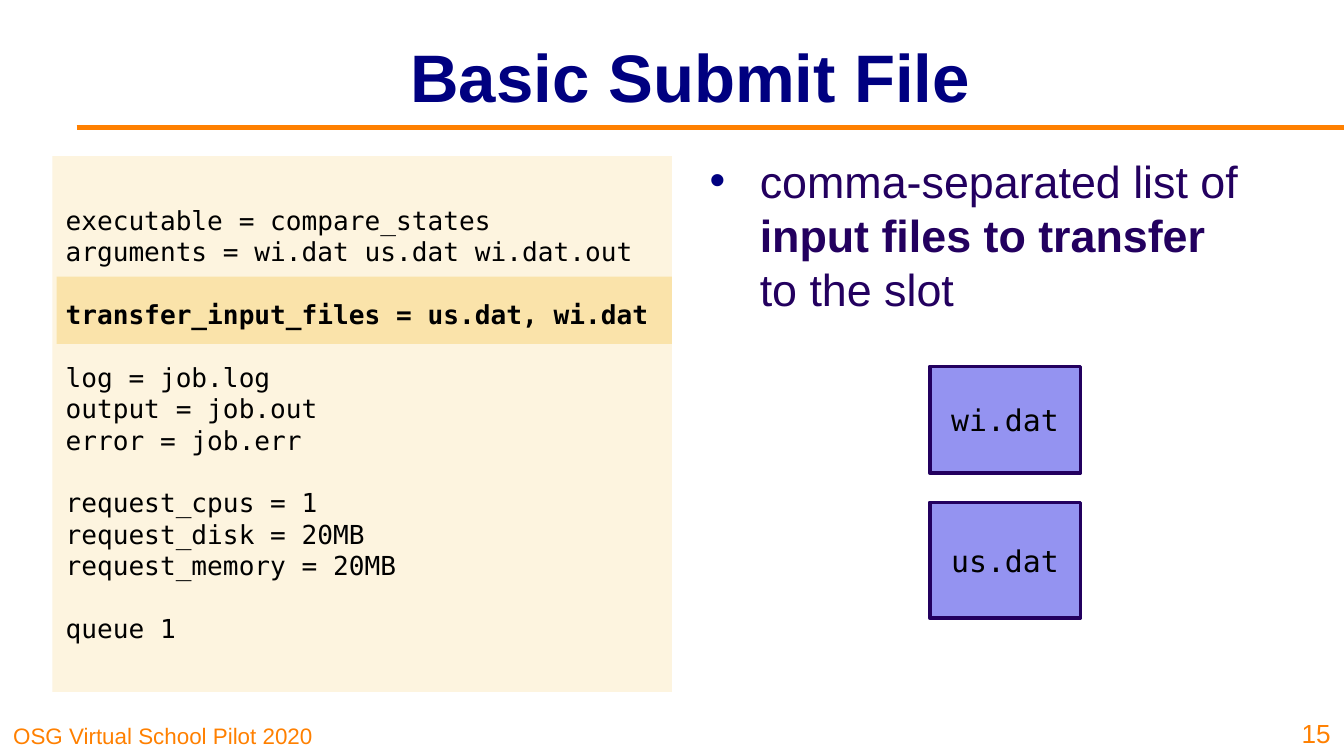
from dataclasses import dataclass

from lxml import etree
from pptx import Presentation
from pptx.dml.color import RGBColor
from pptx.enum import shapes, text
from pptx.oxml import ns
from pptx.util import Cm, Pt

ORANGE = RGBColor(0xFF, 0x80, 0x00)
NAVY = RGBColor(0x00, 0x00, 0x80)
PURPLE = RGBColor(0x23, 0x00, 0x5F)
LILAC = RGBColor(0x94, 0x93, 0xF1)
CREAM = RGBColor(0xFD, 0xF4, 0xDF)
GOLD = RGBColor(0xFA, 0xE3, 0xAA)
BLACK = RGBColor(0x00, 0x00, 0x00)
SANS, MONO = "Arial", "DejaVu Sans Mono"
LEFT, CENTER, RIGHT = text.PP_ALIGN.LEFT, text.PP_ALIGN.CENTER, text.PP_ALIGN.RIGHT
TOP, MIDDLE, BOTTOM = (text.MSO_ANCHOR.TOP, text.MSO_ANCHOR.MIDDLE,
                       text.MSO_ANCHOR.BOTTOM)


@dataclass
class Box:
    """Place and size in centimetres."""
    left: float
    top: float
    width: float
    height: float

    def lengths(self):
        return [Cm(v) for v in (self.left, self.top, self.width, self.height)]


@dataclass
class File:
    name: str
    box: Box


CODE_BOX = Box(0.99, 2.95, 11.71, 10.13)
CODE = [
    ["executable = compare_states", "arguments = wi.dat us.dat wi.dat.out"],
    ["*transfer_input_files = us.dat, wi.dat"],
    ["log = job.log", "output = job.out", "error = job.err"],
    ["request_cpus = 1", "request_disk = 20MB", "request_memory = 20MB"],
    ["queue 1"],
]
FILES = [
    File("wi.dat", Box(17.57, 6.93, 2.85, 2.01)),
    File("us.dat", Box(17.57, 9.5, 2.85, 2.18)),
]


def write(shape, groups, size, color, font=SANS, bold=False, align=LEFT,
          anchor=TOP, pitch=None):
    """Write groups of lines, one blank pitch apart; '*' marks bold pieces.

    A line is a string, or a list of strings that become its runs.
    """
    frame = shape.text_frame
    frame.word_wrap = True
    frame.auto_size = text.MSO_AUTO_SIZE.NONE
    frame.vertical_anchor = anchor
    frame.margin_left = frame.margin_right = Cm(0.25)
    frame.margin_top = frame.margin_bottom = Cm(0.13)
    for g, group in enumerate(groups):
        for i, line in enumerate(group):
            para = frame.paragraphs[0] if g == i == 0 else frame.add_paragraph()
            para.alignment = align
            para.space_before = Pt(pitch if g and i == 0 and pitch else 0)
            if pitch:
                para.line_spacing = Pt(pitch)
            for piece in [line] if isinstance(line, str) else line:
                run = para.add_run()
                run.text = piece.removeprefix("*")
                run.font.name, run.font.size = font, Pt(size)
                run.font.bold = bold or piece.startswith("*")
                run.font.color.rgb = color


def label(slide, box: Box, groups, size, color, **style):
    shape = slide.shapes.add_textbox(*box.lengths())
    write(shape, groups, size, color, **style)
    return shape


def panel(slide, box: Box, fill: RGBColor, edge: RGBColor | None = None):
    shape = slide.shapes.add_shape(shapes.MSO_SHAPE.RECTANGLE, *box.lengths())
    shape.shadow.inherit = False
    shape.fill.solid()
    shape.fill.fore_color.rgb = fill
    if edge is None:
        shape.line.fill.background()
    else:
        shape.line.color.rgb = edge
        shape.line.width = Pt(2)
    return shape


def rule(slide, left: float, right: float, top: float):
    line = slide.shapes.add_connector(
        shapes.MSO_CONNECTOR.STRAIGHT, Cm(left), Cm(top), Cm(right), Cm(top))
    line.line.color.rgb = ORANGE
    line.line.width = Pt(3)
    etree.SubElement(line._element.spPr, ns.qn("a:effectLst"))


def bullet(para, indent: float):
    props = para._p.get_or_add_pPr()
    props.set("marL", str(Cm(indent)))
    props.set("indent", str(-Cm(indent)))
    color = etree.SubElement(props, ns.qn("a:buClr"))
    etree.SubElement(color, ns.qn("a:srgbClr"), val=str(NAVY))
    etree.SubElement(props, ns.qn("a:buFont"), typeface=SANS)
    etree.SubElement(props, ns.qn("a:buChar"), char="•")


def main():
    deck = Presentation()
    deck.slide_width, deck.slide_height = Cm(25.4), Cm(14.29)
    slide = deck.slides.add_slide(deck.slide_layouts[5])

    title = slide.shapes.title
    title.left, title.top, title.width, title.height = Box(
        3.4, 0.23, 19.3, 2.39).lengths()
    write(title, [["Basic Submit File"]], 36, NAVY, bold=True,
          align=CENTER, anchor=MIDDLE)
    rule(slide, 1.45, 25.4, 2.41)

    panel(slide, CODE_BOX, CREAM)
    panel(slide, Box(1.07, 5.23, 11.63, 1.27), GOLD)
    label(slide, CODE_BOX, CODE, 14, BLACK, font=MONO, anchor=MIDDLE, pitch=16.8)

    points = label(
        slide, Box(13.16, 2.77, 10.59, 9.75),
        [[["comma-separated list of ", "*input files to transfer ", "to the slot"]]],
        24, PURPLE, pitch=28.9)
    bullet(points.text_frame.paragraphs[0], 0.95)

    for file in FILES:
        shape = panel(slide, file.box, LILAC, PURPLE)
        write(shape, [[file.name]], 16, BLACK, font=MONO,
              align=CENTER, anchor=MIDDLE)

    label(slide, Box(0, 13.5, 6.3, 0.79), [["OSG Virtual School Pilot 2020"]],
          12, ORANGE, anchor=BOTTOM)
    label(slide, Box(24.23, 13.33, 1.17, 0.96), [["15"]], 14, ORANGE,
          align=RIGHT, anchor=BOTTOM)
    deck.save("out.pptx")


if __name__ == "__main__":
    main()
